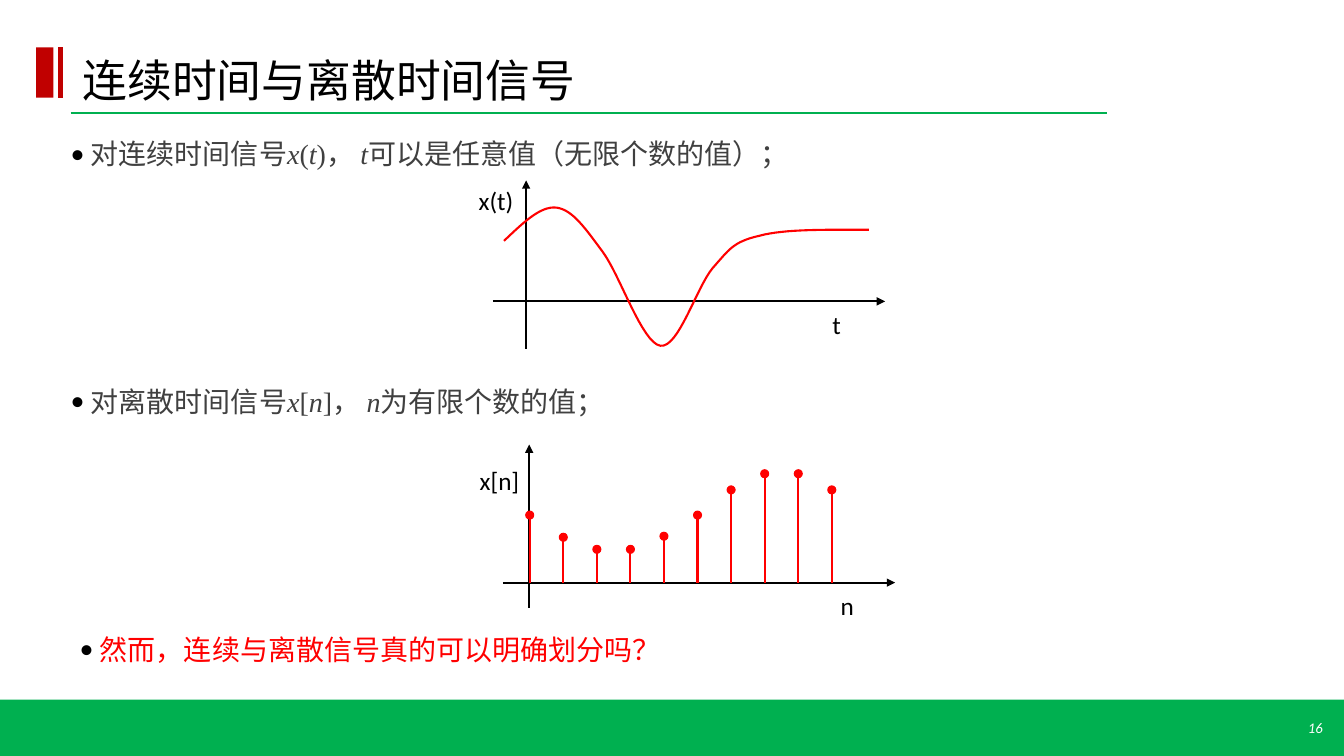
import pptx
import pptx.util
import pptx.oxml
import pptx.dml.color
import pptx.enum.shapes
import pptx.enum.text
import pptx.oxml.ns
import lxml.etree

Color = pptx.dml.color.RGBColor
Shape = pptx.enum.shapes.MSO_SHAPE
Anchor = pptx.enum.text.MSO_ANCHOR
Align = pptx.enum.text.PP_ALIGN
GREEN = Color(0x00, 0xB0, 0x50)
DARK_RED = Color(0xC0, 0x00, 0x00)
RED = Color(0xFF, 0x00, 0x00)
BLACK = Color(0x00, 0x00, 0x00)
GRAY = Color(0x40, 0x40, 0x40)
WHITE = Color(0xFF, 0xFF, 0xFF)

# Content; every place is in columns and rows of a 0.1 inch grid
CELL = pptx.util.Inches(0.1)
COLUMNS, ROWS = 133.33, 75
TITLE = "连续时间与离散时间信号"
PAGE_NUMBER = "16"
# Each bullet: indent in cells, colour, runs of (text, italic)
BULLETS = [
    (0.6, GRAY, [(" 对连续时间信号", False), ("x", True), ("(", False), ("t", True),
                 (")，", False), (" t", True), ("可以是任意值（无限个数的值）；", False)]),
    (0.6, GRAY, [(" 对离散时间信号", False), ("x", True), ("[", False), ("n", True),
                 ("]，", False), (" n", True), ("为有限个数的值；", False)]),
    (1.5, RED, [(" 然而，连续与离散信号真的可以明确划分吗？", False)]),
]
BULLET_TOP, BULLET_PITCH = 13.4, 24.6
CONTINUOUS = {
    "axes": [((48.9, 29.9), (87.8, 29.9)), ((52.2, 34.6), (52.2, 17.9))],
    "labels": [("x(t)", (46.5, 17.9, 5.9, 4)), ("t", (81.6, 30.2, 2.8, 4))],
}
DISCRETE = {
    "axes": [((49.9, 57.8), (88.8, 57.8)), ((52.5, 60.3), (52.5, 44.1))],
    "labels": [("x[n]", (46.6, 45.7, 6.8, 4)), ("n", (82.4, 58.1, 2.9, 4))],
}
CURVE_START = (50, 23.9)
CURVE = [
    ((51.8, 22.2), (53.6, 20.4), (55.2, 20.6)),
    ((56.8, 20.8), (58.1, 22.7), (59.8, 25)),
    ((61.5, 27.3), (63.7, 34), (65.5, 34.3)),
    ((67.3, 34.6), (69.1, 28.5), (70.7, 26.6)),
    ((72.3, 24.8), (72.7, 24), (75.3, 23.4)),
    ((77.9, 22.7), (82, 22.8), (86.2, 22.8)),
]
CURVE_STEPS = 16
SAMPLES = [6.7, 4.5, 3.3, 3.3, 4.6, 6.7, 9.2, 10.8, 10.8, 9.2]
FIRST_STEM, STEM_PITCH, BASELINE, DOT = 52.55, 3.33, 57.8, 0.8


def cells(*values):
    return [round(value * CELL) for value in values]


def apply(target, values):
    for name, value in values.items():
        setattr(target, name, value)


def add_line(shapes, start, end, color, width=1.5, arrow=False):
    line = shapes.add_connector(pptx.enum.shapes.MSO_CONNECTOR.STRAIGHT,
                                *cells(*start, *end))
    line.line.color.rgb = color
    line.line.width = pptx.util.Pt(width)
    if arrow:
        lxml.etree.SubElement(line.line._get_or_add_ln(),
                              pptx.oxml.ns.qn("a:tailEnd"), type="triangle")
    lxml.etree.SubElement(line._element.spPr, pptx.oxml.ns.qn("a:effectLst"))


def add_solid(shapes, kind, place, color, outline=False):
    solid = shapes.add_shape(kind, *cells(*place))
    solid.shadow.inherit = False
    solid.fill.solid()
    solid.fill.fore_color.rgb = color
    if outline:
        solid.line.color.rgb = color
        solid.line.width = pptx.util.Pt(0.75)
    else:
        solid.line.fill.background()


def add_span(para, text, font, size, color, italic=False):
    span = para.add_run()
    span.text = text
    apply(span.font, {"name": font, "size": pptx.util.Pt(size), "italic": italic})
    span.font.color.rgb = color


def add_box(shapes, place, frame_values, para_values):
    box = shapes.add_textbox(*cells(*place))
    apply(box.text_frame, frame_values)
    para = box.text_frame.paragraphs[0]
    apply(para, para_values)
    return para


def add_bullet(para, indent):
    properties = para._p.get_or_add_pPr()
    properties.set("marL", str(cells(indent)[0]))
    properties.set("indent", str(-cells(0.6)[0]))
    color = lxml.etree.SubElement(properties, pptx.oxml.ns.qn("a:buClr"))
    lxml.etree.SubElement(color, pptx.oxml.ns.qn("a:srgbClr"), val=str(BLACK))
    lxml.etree.SubElement(properties, pptx.oxml.ns.qn("a:buFont"), typeface="Calibri")
    lxml.etree.SubElement(properties, pptx.oxml.ns.qn("a:buChar"), char="•")


def add_plot(page, plot):
    shapes = page.shapes.add_group_shape().shapes
    for start, end in plot["axes"]:
        add_line(shapes, start, end, BLACK, arrow=True)
    for text, place in plot["labels"]:
        para = add_box(shapes, place, {"word_wrap": False}, {})
        add_span(para, text, "Calibri", 18, BLACK)
    return shapes


def curve_points():
    start = CURVE_START
    for first, second, end in CURVE:
        for step in range(1, CURVE_STEPS + 1):
            t = step / CURVE_STEPS
            weights = ((1 - t) ** 3, 3 * t * (1 - t) ** 2, 3 * t * t * (1 - t), t ** 3)
            corners = (start, first, second, end)
            yield cells(*(sum(w * corner[axis] for w, corner in zip(weights, corners))
                          for axis in (0, 1)))
        start = end


def main():
    deck = pptx.Presentation()
    deck.slide_width, deck.slide_height = cells(COLUMNS, ROWS)
    page = deck.slides.add_slide(deck.slide_layouts[6])

    # Footer band, title marks and rule
    add_solid(page.shapes, Shape.RECTANGLE, (0, 69.4, COLUMNS, 5.6), GREEN)
    add_line(page.shapes, (7, 11.2), (109.8, 11.2), GREEN)
    add_solid(page.shapes, Shape.RECTANGLE, (3.6, 4.7, 1.7, 5), DARK_RED)
    add_line(page.shapes, (6, 4.7), (6, 9.7), DARK_RED, 3)

    # Title and page number
    para = add_box(page.shapes, (7.2, 2.5, 102.6, 8.6),
                   {"word_wrap": True, "vertical_anchor": Anchor.BOTTOM},
                   {"line_spacing": 0.85})
    add_span(para, TITLE, "Calibri", 32, BLACK)
    para = add_box(page.shapes, (117.9, 70.2, 14.3, 4),
                   {"word_wrap": True, "vertical_anchor": Anchor.MIDDLE},
                   {"alignment": Align.RIGHT})
    add_span(para, PAGE_NUMBER, "Calibri", 10.5, WHITE, True)

    # Bulleted statements
    for row, (indent, color, spans) in enumerate(BULLETS):
        para = add_box(page.shapes, (7, BULLET_TOP + row * BULLET_PITCH, 121.3, 4.5),
                       {"word_wrap": True, "margin_left": 0, "margin_right": 0},
                       {"line_spacing": 0.9, "space_before": pptx.util.Pt(6.8),
                        "space_after": pptx.util.Pt(1.1)})
        add_bullet(para, indent)
        for text, italic in spans:
            add_span(para, text, "Times New Roman", 20, color, italic)

    # Continuous signal
    shapes = add_plot(page, CONTINUOUS)
    builder = shapes.build_freeform(*cells(*CURVE_START), scale=1.0)
    builder.add_line_segments(list(curve_points()), close=False)
    curve = builder.convert_to_shape()
    curve.shadow.inherit = False
    curve.fill.background()
    curve.line.color.rgb = RED
    curve.line.width = pptx.util.Pt(1.5)

    # Discrete signal
    shapes = add_plot(page, DISCRETE)
    for index, height in enumerate(SAMPLES):
        x, top = FIRST_STEM + index * STEM_PITCH, BASELINE - height
        add_line(shapes, (x, BASELINE), (x, top), RED)
        add_solid(shapes, Shape.OVAL, (x - DOT / 2, top - DOT / 2, DOT, DOT), RED, True)

    deck.save("out.pptx")


if __name__ == "__main__":
    main()
